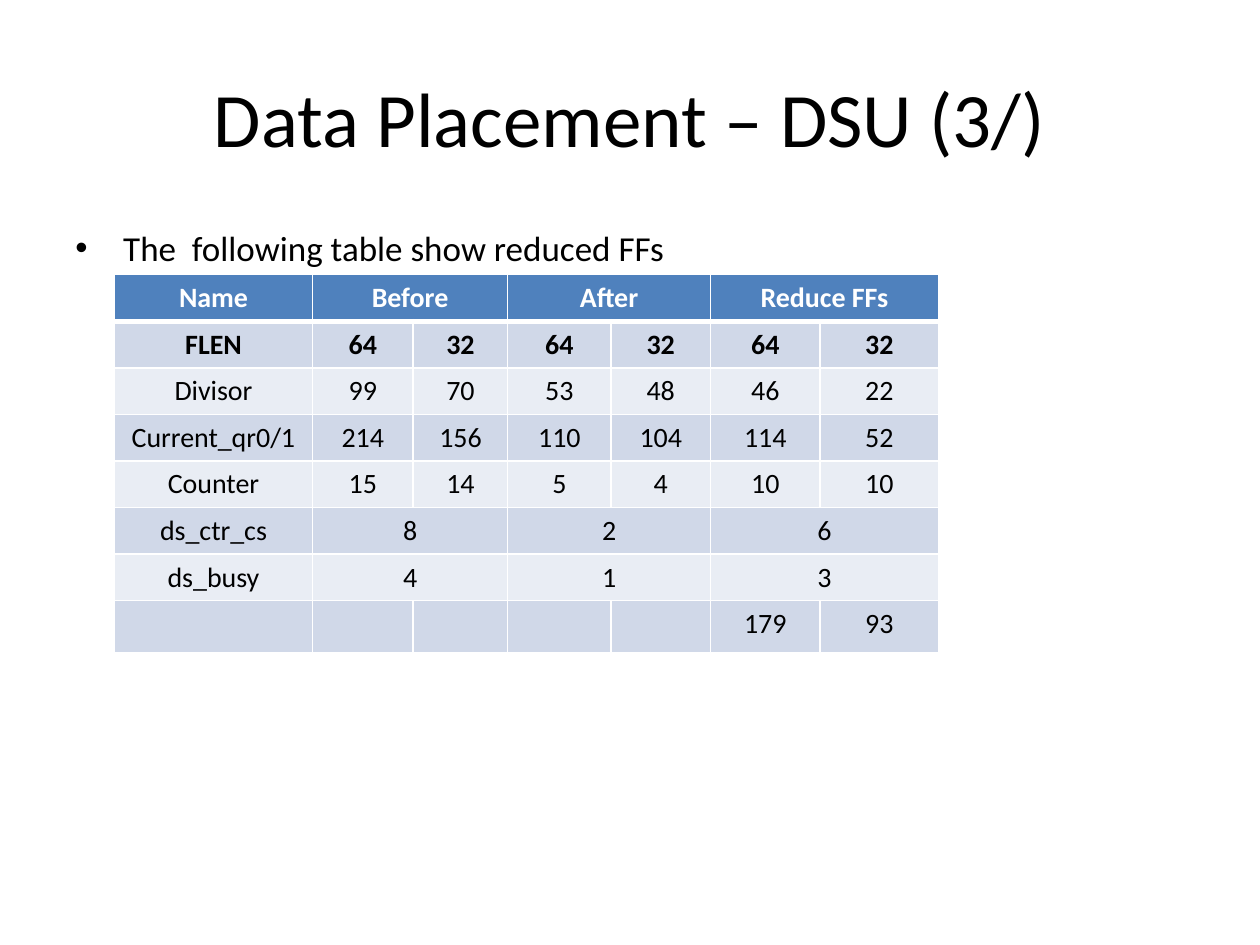
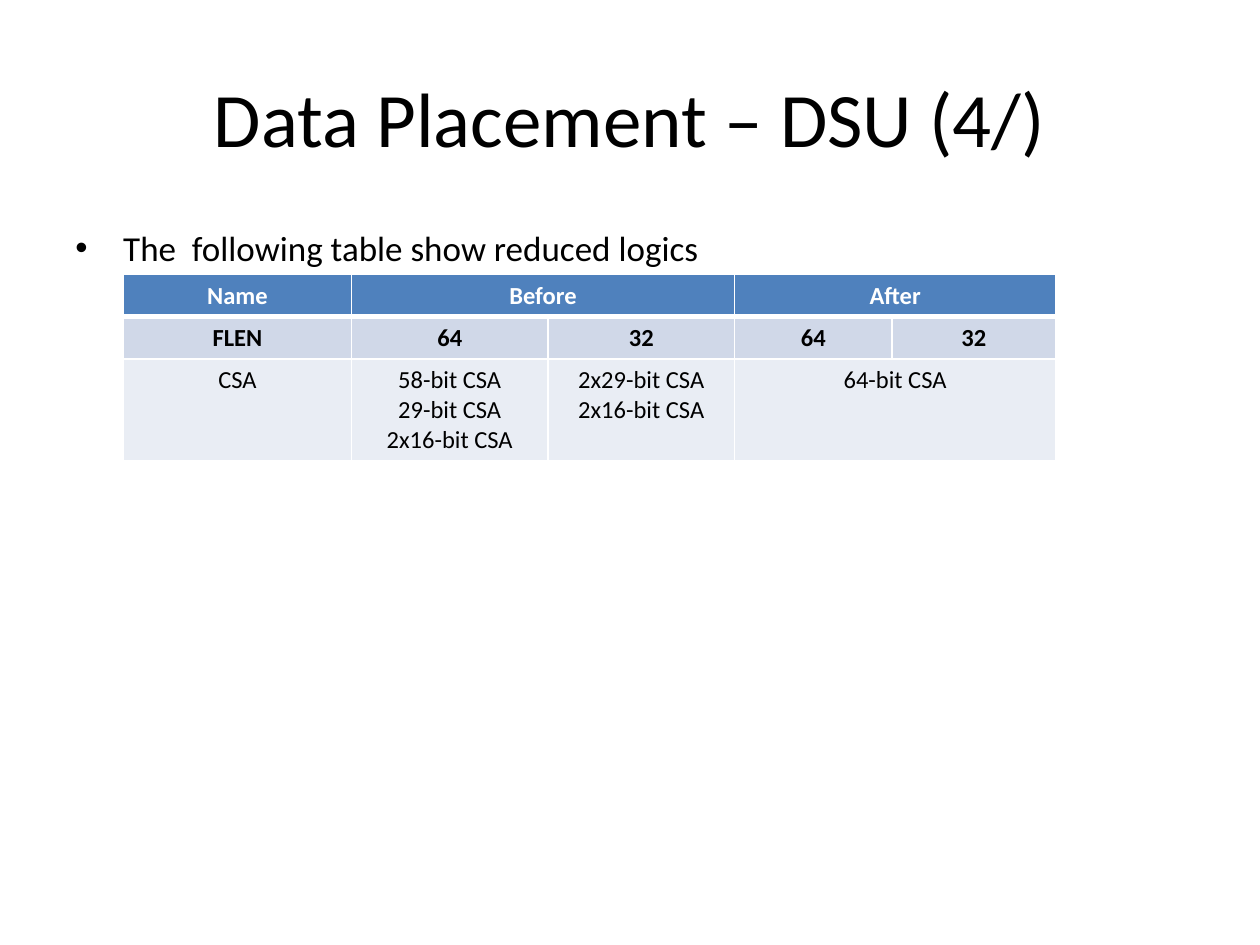
from lxml import etree
from pptx import Presentation
from pptx.dml.color import RGBColor
from pptx.enum import text
from pptx.oxml import ns
from pptx.util import Inches, Pt

WHITE = RGBColor(0xFF, 0xFF, 0xFF)
BLACK = RGBColor(0x00, 0x00, 0x00)
HEADER_BLUE = RGBColor(0x4F, 0x81, 0xBD)
BAND_DARK = RGBColor(0xD0, 0xD8, 0xE8)
BAND_LIGHT = RGBColor(0xE9, 0xED, 0xF4)
FONT = "Calibri"
TITLE_ONLY = 5
TABLE_TOP = 2.18
SPAN = None  # the cell to the left extends over this one

REDUCED_FFS = [
    ["Name", "Before", SPAN, "After", SPAN, "Reduce FFs", SPAN],
    ["FLEN", "64", "32", "64", "32", "64", "32"],
    ["Divisor", "99", "70", "53", "48", "46", "22"],
    ["Current_qr0/1", "214", "156", "110", "104", "114", "52"],
    ["Counter", "15", "14", "5", "4", "10", "10"],
    ["ds_ctr_cs", "8", SPAN, "2", SPAN, "6", SPAN],
    ["ds_busy", "4", SPAN, "1", SPAN, "3", SPAN],
    ["", "", "", "", "", "179", "93"],
]
REDUCED_LOGICS = [
    ["Name", "Before", SPAN, "After", SPAN],
    ["FLEN", "64", "32", "64", "32"],
    ["CSA", "58-bit CSA\n29-bit CSA\n2x16-bit CSA",
     "2x29-bit CSA\n2x16-bit CSA", "64-bit CSA", SPAN],
]


def style_paragraph(paragraph, size, color=BLACK, bold=False, align=text.PP_ALIGN.CENTER):
    paragraph.alignment = align
    font = paragraph.font
    font.name, font.size, font.bold = FONT, Pt(size), bold
    font.color.rgb = color


def add_titled_slide(prs, title):
    slide = prs.slides.add_slide(prs.slide_layouts[TITLE_ONLY])
    heading = slide.shapes.title
    heading.left, heading.top = Inches(0.5), Inches(0.3)
    heading.width, heading.height = Inches(9), Inches(1.25)
    heading.text_frame.text = title
    heading.text_frame.vertical_anchor = text.MSO_ANCHOR.MIDDLE
    style_paragraph(heading.text_frame.paragraphs[0], 44)
    return slide


def add_bullet(slide, statement):
    body = slide.shapes.add_textbox(Inches(0.5), Inches(1.75), Inches(9), Inches(4.95))
    body.text_frame.word_wrap = True
    paragraph = body.text_frame.paragraphs[0]
    paragraph.text = statement
    paragraph.space_before = Pt(4)
    style_paragraph(paragraph, 20, align=text.PP_ALIGN.LEFT)
    properties = paragraph._p.get_or_add_pPr()
    properties.set("marL", str(Inches(0.38)))
    properties.set("indent", str(-Inches(0.38)))
    bullet_font = etree.Element(ns.qn("a:buFont"), typeface="Arial")
    bullet = etree.Element(ns.qn("a:buChar"), char="•")
    default_run = properties.find(ns.qn("a:defRPr"))
    default_run.addprevious(bullet_font)
    default_run.addprevious(bullet)


def add_borders(cell, top=1, bottom=1):
    """Draw white cell borders; top and bottom widths are in points."""
    properties = cell._tc.get_or_add_tcPr()
    for side, width in (("L", 1), ("R", 1), ("T", top), ("B", bottom)):
        line = etree.SubElement(properties, ns.qn(f"a:ln{side}"), w=str(Pt(width)))
        fill = etree.SubElement(line, ns.qn("a:solidFill"))
        etree.SubElement(fill, ns.qn("a:srgbClr"), val=str(WHITE))


def fill_cell(cell, content, row, size):
    add_borders(cell, top=3 if row == 1 else 1, bottom=3 if row == 0 else 1)
    cell.fill.solid()
    band = BAND_DARK if row % 2 else BAND_LIGHT
    cell.fill.fore_color.rgb = HEADER_BLUE if row == 0 else band
    if content:
        cell.text_frame.text = content
        for paragraph in cell.text_frame.paragraphs:
            style_paragraph(paragraph, size, WHITE if row == 0 else BLACK, bold=row < 2)


def add_comparison_table(slide, rows, left, column_widths, row_heights, size):
    table = slide.shapes.add_table(
        len(rows), len(column_widths), Inches(left), Inches(TABLE_TOP),
        Inches(sum(column_widths)), Inches(sum(row_heights))).table
    for column, width in zip(table.columns, column_widths):
        column.width = Inches(width)
    for r, (contents, height) in enumerate(zip(rows, row_heights)):
        table.rows[r].height = Inches(height)
        for c, content in enumerate(contents):
            fill_cell(table.cell(r, c), content, r, size)
            if content is SPAN:
                table.cell(r, c - 1).merge(table.cell(r, c))


def main():
    prs = Presentation()
    prs.slide_width, prs.slide_height = Inches(10), Inches(7.5)

    ffs = add_titled_slide(prs, "Data Placement – DSU (3/)")
    add_bullet(ffs, "The  following table show reduced FFs")
    add_comparison_table(ffs, REDUCED_FFS, 0.91,
                         [1.57, 0.8, 0.75, 0.82, 0.79, 0.87, 0.94],
                         [0.37] * 7 + [0.41], 16)

    logics = add_titled_slide(prs, "Data Placement – DSU (4/)")
    add_bullet(logics, "The  following table show reduced logics")
    add_comparison_table(logics, REDUCED_LOGICS, 0.98,
                         [1.81, 1.56, 1.48, 1.25, 1.3],
                         [0.33, 0.33, 0.81], 14)

    prs.save("out.pptx")


if __name__ == "__main__":
    main()
